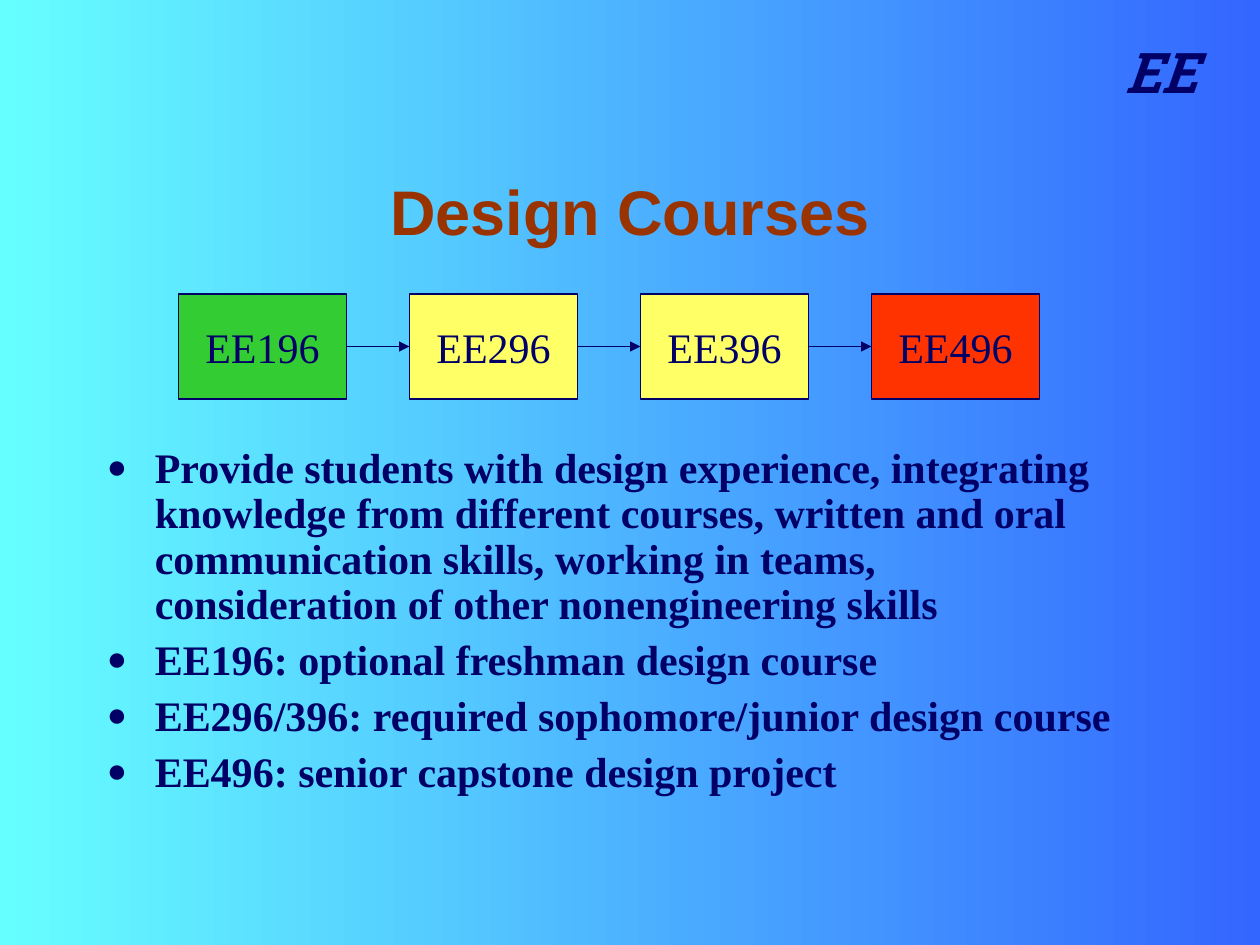
from lxml.etree import SubElement
from pptx import Presentation
from pptx.dml.color import RGBColor
from pptx.enum.shapes import MSO_CONNECTOR, MSO_SHAPE
from pptx.enum.text import MSO_ANCHOR, MSO_AUTO_SIZE, PP_ALIGN
from pptx.oxml.ns import qn
from pptx.util import Inches, Pt

COLORS = {
    "navy": "000066",
    "brown": "993300",
    "blue": "3366FF",
    "cyan": "66FFFF",
    "green": "33CC33",
    "yellow": "FFFF66",
    "red": "FF3300",
}
COURSES = [("EE196", "green"), ("EE296", "yellow"), ("EE396", "yellow"), ("EE496", "red")]
GOALS = [
    "Provide students with design experience, integrating knowledge from different courses, "
    "written and oral communication skills, working in teams, "
    "consideration of other nonengineering skills",
    "EE196: optional freshman design course",
    "EE296/396: required sophomore/junior design course",
    "EE496: senior capstone design project",
]


def color(name):
    return RGBColor.from_string(COLORS[name])


def add_run(paragraph, text, size, font, ink="navy", bold=False, italic=False):
    run = paragraph.add_run()
    run.text = text
    run.font.size = Pt(size)
    run.font.name = font
    run.font.bold = bold
    run.font.italic = italic
    run.font.color.rgb = color(ink)


deck = Presentation()
deck.slide_width, deck.slide_height = Inches(10), Inches(7.5)
col = deck.slide_width // 120
row = deck.slide_height // 90
slide = deck.slides.add_slide(deck.slide_layouts[5])

backdrop = slide.background.fill
backdrop.gradient()
backdrop.gradient_angle = 180
for stop, name in zip(backdrop.gradient_stops, ("blue", "cyan")):
    stop.color.rgb = color(name)

department = slide.shapes.add_textbox(106 * col, 3 * row, 12 * col, 7.7 * row).text_frame
department.word_wrap = True
department.paragraphs[0].space_before = Pt(20)
add_run(department.paragraphs[0], "EE", 32, "Roboto Slab", bold=True, italic=True)

title = slide.shapes.title
title.left, title.top, title.width, title.height = 10 * col, 13 * row, 100 * col, 14 * row
title.text_frame.auto_size = MSO_AUTO_SIZE.NONE
title.text_frame.vertical_anchor = MSO_ANCHOR.MIDDLE
heading = title.text_frame.paragraphs[0]
heading.alignment = PP_ALIGN.CENTER
add_run(heading, "Design Courses", 36, "Arial", "brown", bold=True)

goals = slide.shapes.add_textbox(9 * col, 42 * row, 98 * col, 41 * row).text_frame
goals.word_wrap = True
for index, goal in enumerate(GOALS):
    item = goals.add_paragraph() if index else goals.paragraphs[0]
    item.line_spacing = 0.9
    item.space_before = Pt(6)
    add_run(item, goal, 24, "Times New Roman", bold=True)
    layout = item._p.get_or_add_pPr()
    layout.set("marL", str(Inches(0.38)))
    layout.set("indent", str(-Inches(0.38)))
    bullet_color = SubElement(layout, qn("a:buClr"))
    SubElement(bullet_color, qn("a:srgbClr"), val=COLORS["navy"])
    SubElement(layout, qn("a:buSzPct"), val="80000")
    SubElement(layout, qn("a:buFont"), typeface="Times New Roman")
    SubElement(layout, qn("a:buChar"), char="●")

box_width, pitch = 16 * col, 22 * col
for index, (course, fill) in enumerate(COURSES):
    left = 17 * col + index * pitch
    box = slide.shapes.add_shape(MSO_SHAPE.RECTANGLE, left, 28 * row, box_width, 10 * row)
    box.shadow.inherit = False
    box.fill.solid()
    box.fill.fore_color.rgb = color(fill)
    box.line.color.rgb = color("navy")
    box.line.width = Pt(0.75)
    box.text_frame.word_wrap = False
    box.text_frame.vertical_anchor = MSO_ANCHOR.MIDDLE
    label = box.text_frame.paragraphs[0]
    label.alignment = PP_ALIGN.CENTER
    add_run(label, course, 24, "Times New Roman")
    if index:
        arrow = slide.shapes.add_connector(
            MSO_CONNECTOR.STRAIGHT, left - pitch + box_width, 33 * row, left, 33 * row
        )
        arrow.line.color.rgb = color("navy")
        arrow.line.width = Pt(0.75)
        SubElement(arrow.line._get_or_add_ln(), qn("a:tailEnd"), type="triangle")
        SubElement(arrow._element.spPr, qn("a:effectLst"))

deck.save("out.pptx")
